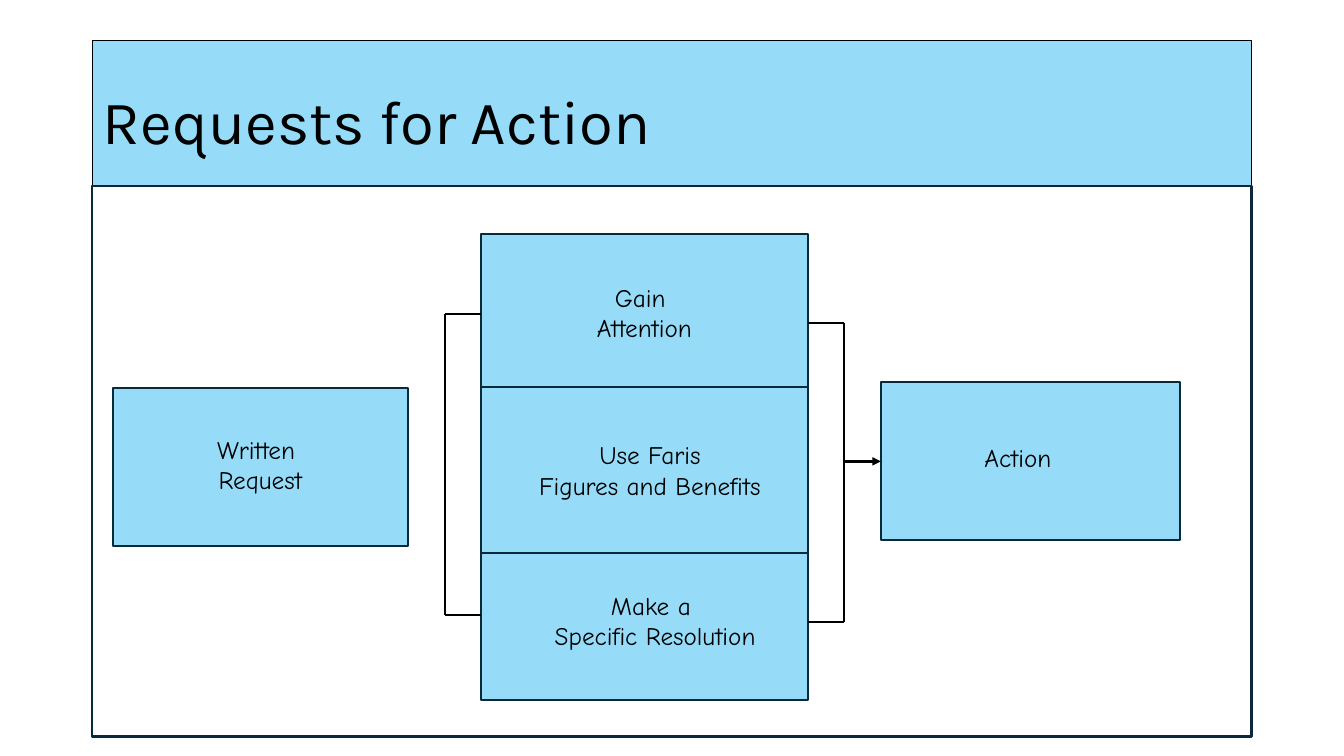
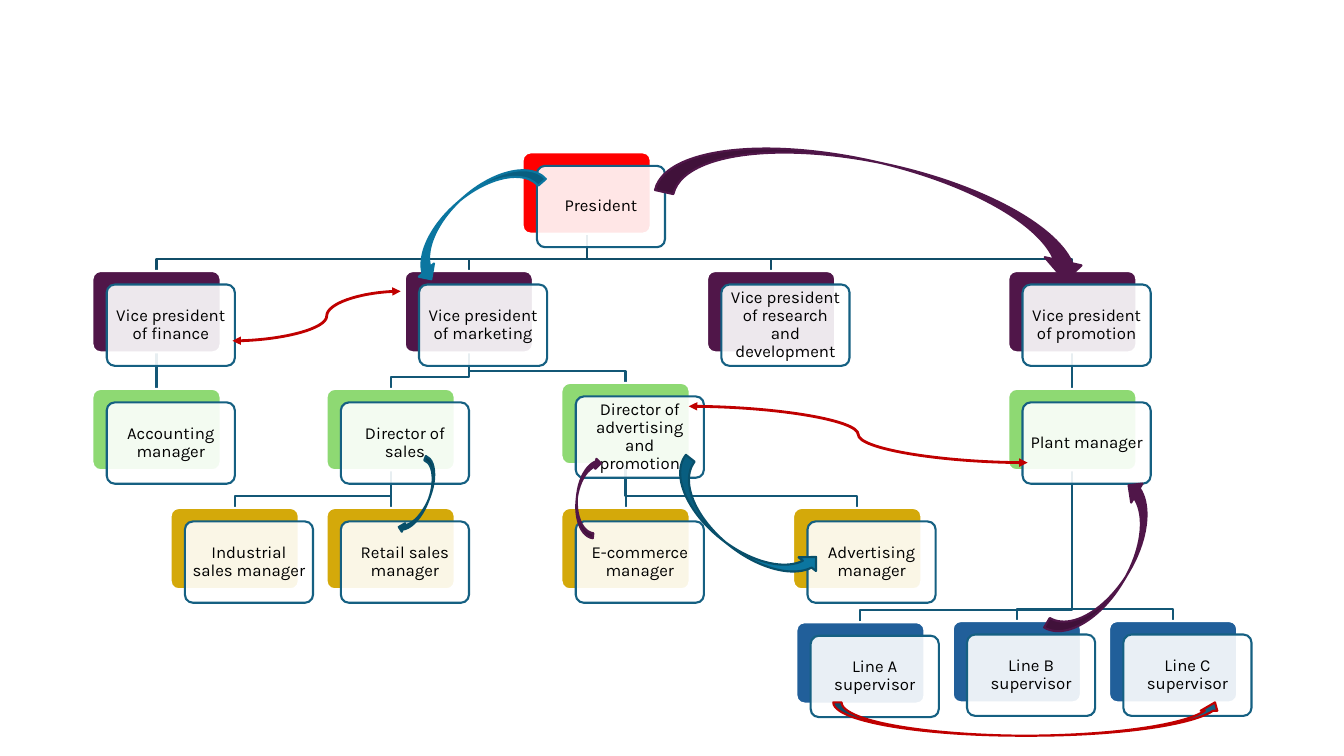
from dataclasses import dataclass

from pptx import Presentation
from pptx.dml.color import RGBColor
from pptx.enum.shapes import MSO_CONNECTOR as LINK, MSO_SHAPE as FORM
from pptx.enum.text import MSO_ANCHOR, MSO_AUTO_SIZE, PP_ALIGN
from pptx.oxml.ns import qn
from pptx.util import Cm, Pt
from lxml.etree import SubElement


@dataclass(frozen=True)
class Theme:
    ink: str = "000000"
    white: str = "FFFFFF"
    sky: str = "96DCF8"
    navy: str = "092A39"
    card_edge: str = "156082"
    top_link: str = "114D68"
    lower_link: str = "135776"
    red: str = "C00000"
    plum: str = "501649"
    teal: str = "0B76A0"
    deep_teal: str = "084F6A"
    levels: tuple = ("FF0000", "501649", "8ED973", "D4A90A", "215F9A")
    heading_font: str = "Karla"
    step_font: str = "Comic Neue"
    title_size: float = 44
    step_size: float = 18
    card_size: float = 12
    thin: float = 0.75
    line: float = 1.5
    bold_line: float = 2


THEME = Theme()


@dataclass(frozen=True)
class Box:
    left: float
    top: float
    width: float
    height: float

    def inner(self, x, y, width, height):
        return Box(self.left + x, self.top + y, width, height)

    def point(self, x, y):
        return Cm(self.left + x), Cm(self.top + y)

    def lengths(self):
        return Cm(self.left), Cm(self.top), Cm(self.width), Cm(self.height)


@dataclass(frozen=True)
class Post:
    title: str
    boss: str
    level: int
    x: float
    lift: float = 0


TITLE_BOX = Box(2.34, 1.02, 29.21, 3.68)
PANEL_BOX = Box(2.33, 4.69, 29.21, 13.87)
CHART_BOX = Box(2.33, 3.84, 29.2, 14.2)

CARD_WIDTH, CARD_HEIGHT = 3.23, 2.05
CARD_SHIFT = (0.36, 0.34)
LINK_TURN = 0.3
ROW_TOPS = (0, 2.99, 5.96, 8.96, 11.81)

POSTS = (
    Post("President", "", 0, 10.84),
    Post("Vice president of finance", "President", 1, 0),
    Post("Vice president of marketing", "President", 1, 7.87),
    Post("Vice president of research and development", "President", 1, 15.49),
    Post("Vice president of promotion", "President", 1, 23.08),
    Post("Accounting manager", "Vice president of finance", 2, 0),
    Post("Director of sales", "Vice president of marketing", 2, 5.9),
    Post("Director of advertising and promotion", "Vice president of marketing", 2, 11.82, 0.15),
    Post("Plant manager", "Vice president of promotion", 2, 23.08),
    Post("Industrial sales manager", "Director of sales", 3, 1.97),
    Post("Retail sales manager", "Director of sales", 3, 5.9),
    Post("E-commerce manager", "Director of advertising and promotion", 3, 11.82),
    Post("Advertising manager", "Director of advertising and promotion", 3, 17.66),
    Post("Line A supervisor", "Plant manager", 4, 17.74, -0.03),
    Post("Line B supervisor", "Plant manager", 4, 21.68),
    Post("Line C supervisor", "Plant manager", 4, 25.62),
)

FLOW_ARROWS = (
    (FORM.CURVED_UP_ARROW, (18.67, 13.86, 9.83, 0.84), 0, THEME.card_edge, THEME.red),
    (FORM.CURVED_DOWN_ARROW, (14.25, 0.27, 11.07, 1.9), 12.5, THEME.plum, THEME.plum),
    (FORM.CURVED_DOWN_ARROW, (7.24, 8.45, 2.03, 0.46), 110.9, THEME.deep_teal, THEME.deep_teal),
    (FORM.CURVED_RIGHT_ARROW, (9.04, -0.41, 1.02, 4.09), 48.8, THEME.teal, THEME.teal),
    (FORM.CURVED_LEFT_ARROW, (12.21, 7.67, 0.51, 2.03), 186.2, THEME.plum, THEME.plum),
    (FORM.CURVED_RIGHT_ARROW, (15.8, 7.21, 1.12, 4.45), 308.1, THEME.teal, THEME.deep_teal),
    (FORM.CURVED_RIGHT_ARROW, (25.04, 8.12, 1.12, 4.45), 210.7, THEME.plum, THEME.plum),
)

PEER_LINKS = (
    ((7.77, 3.5), (3.53, 4.75), 44000),
    ((23.57, 7.82), (15.03, 6.4), 50000),
)


def rgb(colour):
    return RGBColor.from_string(colour)


def paint(shape, fill, edge, weight=THEME.line):
    if fill:
        shape.fill.solid()
        shape.fill.fore_color.rgb = rgb(fill)
    else:
        shape.fill.background()
    shape.line.color.rgb = rgb(edge)
    shape.line.width = Pt(weight)
    shape.shadow.inherit = False


def add_form(slide, form, box, fill, edge):
    shape = slide.shapes.add_shape(form, *box.lengths())
    paint(shape, fill, edge)
    return shape


def write(paragraph, text, font, size, align):
    paragraph.alignment = align
    run = paragraph.add_run()
    run.text = text
    run.font.name = font
    run.font.size = Pt(size)
    run.font.color.rgb = rgb(THEME.ink)


def add_line(slide, start, end, colour, weight=THEME.line, kind=LINK.STRAIGHT, heads=()):
    connector = slide.shapes.add_connector(kind, *start, *end)
    connector.line.color.rgb = rgb(colour)
    connector.line.width = Pt(weight)
    properties = connector._element.spPr
    outline = properties.find(qn("a:ln"))
    for head in heads:
        SubElement(outline, qn(f"a:{head}"), type="triangle")
    SubElement(properties, qn("a:effectLst"))
    return connector


def title_band(slide, box, text):
    title = slide.shapes.title
    title.left, title.top, title.width, title.height = box.lengths()
    paint(title, THEME.sky, THEME.ink, THEME.thin)
    frame = title.text_frame
    frame.auto_size = MSO_AUTO_SIZE.NONE
    frame.vertical_anchor = MSO_ANCHOR.TOP
    heading = frame.paragraphs[0]
    heading.line_spacing = 1.5
    write(heading, text, THEME.heading_font, THEME.title_size, PP_ALIGN.LEFT)


def step_box(slide, box, lines, nudge_x=0, nudge_y=0):
    step = add_form(slide, FORM.RECTANGLE, box, THEME.sky, THEME.navy)
    frame = step.text_frame
    frame.word_wrap = True
    frame.vertical_anchor = MSO_ANCHOR.MIDDLE
    frame.margin_left = Cm(0.25 + max(2 * nudge_x, 0))
    frame.margin_right = Cm(0.25 + max(-2 * nudge_x, 0))
    frame.margin_top = Cm(0.13 + max(2 * nudge_y, 0))
    frame.margin_bottom = Cm(0.13 + max(-2 * nudge_y, 0))
    for index, line in enumerate(lines):
        paragraph = frame.add_paragraph() if index else frame.paragraphs[0]
        write(paragraph, line, THEME.step_font, THEME.step_size, PP_ALIGN.CENTER)
    return step


def bracket(slide, box, arm_x, spine_x, top, bottom):
    corners = [box.point(x, y) for x, y in
               ((arm_x, top), (spine_x, top), (spine_x, bottom), (arm_x, bottom))]
    for start, end in zip(corners, corners[1:]):
        add_line(slide, start, end, THEME.ink)


def request_flow(slide, box):
    step_x, step_width, step_top = 9.79, 8.24, 1.2
    steps = (
        (("Gain ", "Attention"), 3.86, 0, 0.05),
        (("Use Faris", "Figures and Benefits"), 4.19, 0.14, 0),
        (("Make a ", "Specific Resolution"), 3.69, 0.27, -0.15),
    )
    for lines, height, nudge_x, nudge_y in steps:
        step_box(slide, box.inner(step_x, step_top, step_width, height), lines, nudge_x, nudge_y)
        step_top += height
    step_box(slide, box.inner(0.51, 5.09, 7.44, 3.99), ("Written ", "Request"), 0, -0.08)
    action_box = box.inner(19.87, 4.94, 7.53, 3.99)
    action = step_box(slide, action_box, ("Action",), -0.31, -0.1)

    spine_gap = 0.9
    step_right = step_x + step_width
    bracket(slide, box, step_x, step_x - spine_gap, 3.23, 10.8)
    bracket(slide, box, step_right, step_right + spine_gap, 3.44, 10.98)
    middle = action_box.height / 2
    outcome = add_line(slide, box.point(step_right + spine_gap, 4.94 + middle),
                       action_box.point(0, middle), THEME.ink, THEME.bold_line,
                       heads=("tailEnd",))
    outcome.end_connect(action, 1)
    add_form(slide, FORM.RECTANGLE, box, None, THEME.navy)


def post_card(slide, box, post):
    backing = add_form(slide, FORM.ROUNDED_RECTANGLE, box, THEME.levels[post.level], THEME.white)
    face_box = box.inner(*CARD_SHIFT, box.width, box.height)
    face = add_form(slide, FORM.ROUNDED_RECTANGLE, face_box, THEME.white, THEME.card_edge)
    for shape in (backing, face):
        shape.adjustments[0] = 0.1
    tint = face._element.spPr.find(qn("a:solidFill")).find(qn("a:srgbClr"))
    SubElement(tint, qn("a:alpha"), val="90000")
    frame = face.text_frame
    frame.word_wrap = True
    frame.vertical_anchor = MSO_ANCHOR.MIDDLE
    frame.margin_left = frame.margin_right = Cm(0.12)
    frame.margin_top = frame.margin_bottom = Cm(0.12)
    label = frame.paragraphs[0]
    label.line_spacing = 0.9
    write(label, post.title, THEME.heading_font, THEME.card_size, PP_ALIGN.CENTER)
    return backing


def report_link(slide, boss_box, post_box, colour):
    start = boss_box.point(CARD_WIDTH / 2, CARD_HEIGHT)
    end = post_box.point(CARD_WIDTH / 2, 0)
    if start[0] == end[0]:
        return add_line(slide, start, end, colour)
    turn = end[1] - Cm(LINK_TURN)
    builder = slide.shapes.build_freeform(*start)
    builder.add_line_segments([(start[0], turn), (end[0], turn), end], close=False)
    paint(builder.convert_to_shape(), None, colour)
    return None


def organisation_chart(slide, box):
    places = {post.title: box.inner(post.x, ROW_TOPS[post.level] - post.lift,
                                    CARD_WIDTH, CARD_HEIGHT) for post in POSTS}
    straight_links = []
    for post in POSTS[1:]:
        colour = THEME.top_link if post.level == 1 else THEME.lower_link
        link = report_link(slide, places[post.boss], places[post.title], colour)
        if link is not None:
            straight_links.append((link, post))
    cards = {post.title: post_card(slide, places[post.title], post) for post in POSTS}
    for link, post in straight_links:
        link.begin_connect(cards[post.boss], 2)
        link.end_connect(cards[post.title], 0)

    for start, end, bend in PEER_LINKS:
        peer = add_line(slide, box.point(*start), box.point(*end), THEME.red,
                        THEME.bold_line, LINK.CURVE, ("headEnd", "tailEnd"))
        guides = peer._element.spPr.find(qn("a:prstGeom")).find(qn("a:avLst"))
        SubElement(guides, qn("a:gd"), name="adj1", fmla=f"val {bend}")
    for form, place, turn, fill, edge in FLOW_ARROWS:
        arrow = add_form(slide, form, box.inner(*place), fill, edge)
        arrow.rotation = turn


def main():
    deck = Presentation()
    deck.slide_width, deck.slide_height = Cm(33.87), Cm(19.05)
    title_only, blank = deck.slide_layouts[5], deck.slide_layouts[6]

    requests = deck.slides.add_slide(title_only)
    title_band(requests, TITLE_BOX, "Requests for Action")
    request_flow(requests, PANEL_BOX)

    organisation_chart(deck.slides.add_slide(blank), CHART_BOX)
    deck.save("out.pptx")


if __name__ == "__main__":
    main()
